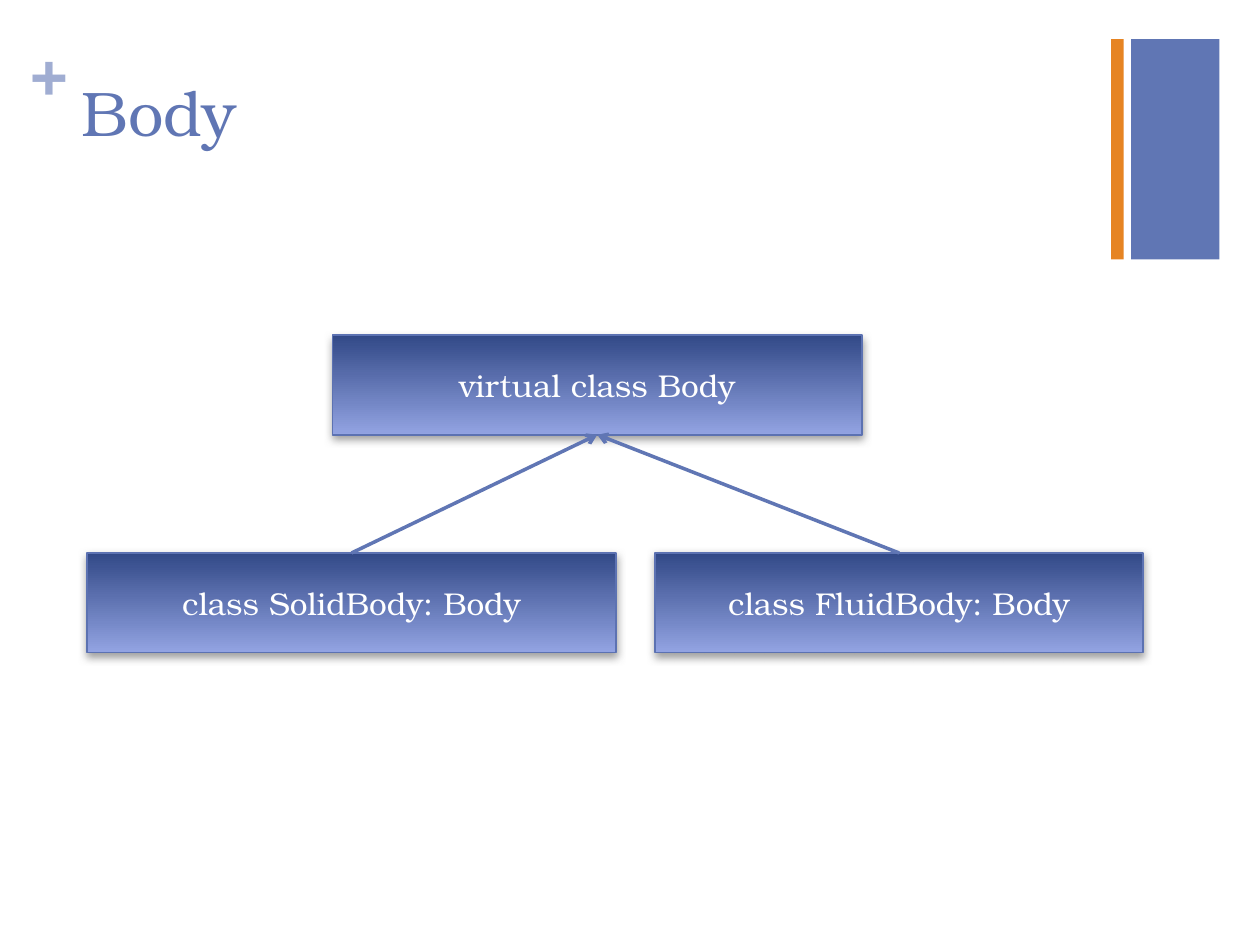
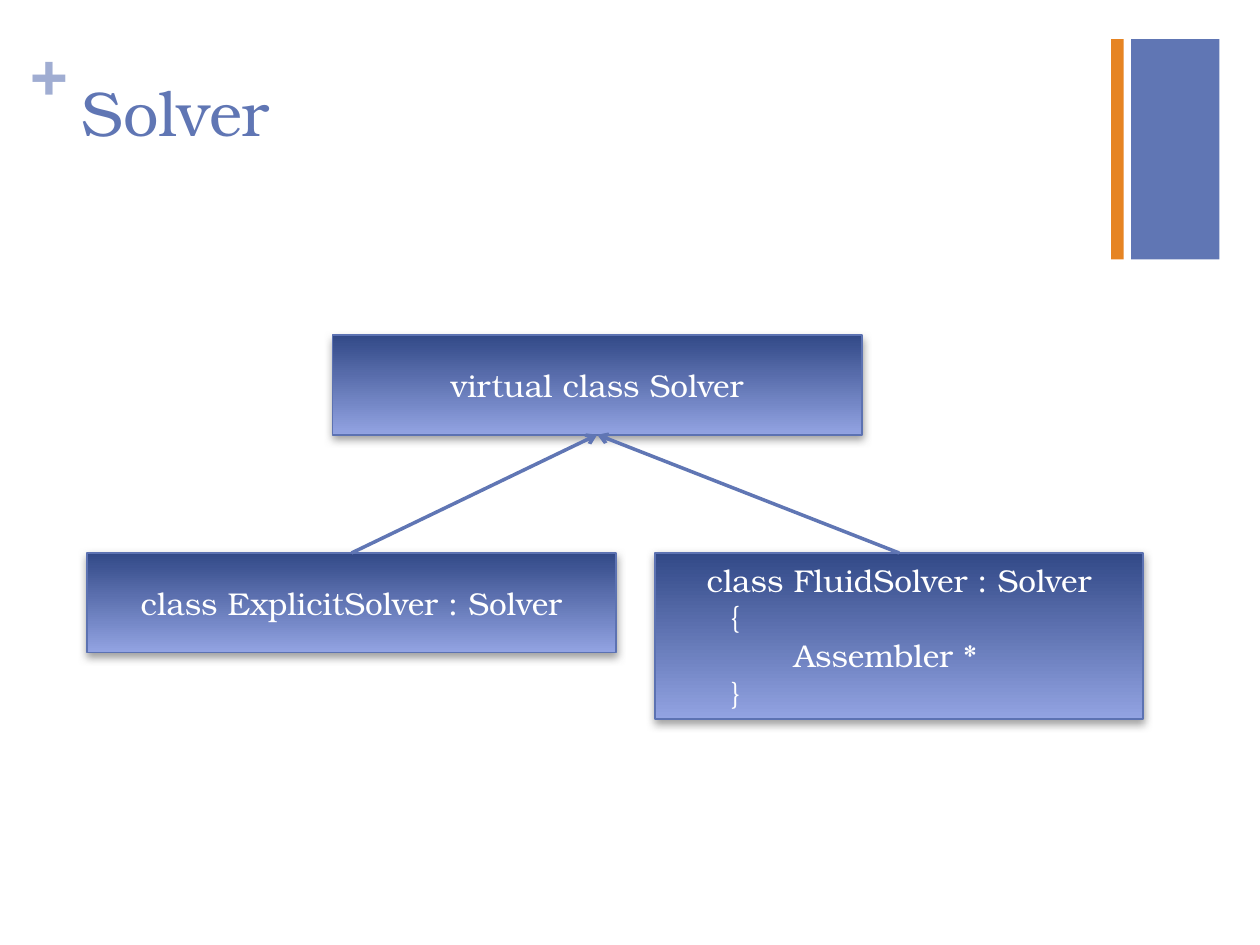
from lxml import etree
from pptx import Presentation
from pptx.dml.color import RGBColor
from pptx.enum import shapes, text
from pptx.oxml import ns
from pptx.util import Pt

FONT = "TeX Gyre Bonum"
BLUE = RGBColor(0x60, 0x76, 0xB4)
PALE_BLUE = RGBColor(0xA0, 0xAD, 0xD2)
ORANGE = RGBColor(0xE6, 0x84, 0x22)
BOX_TOP = RGBColor(0x32, 0x49, 0x87)
BOX_BOTTOM = RGBColor(0x92, 0xA3, 0xE2)
BOX_EDGE = RGBColor(0x5C, 0x72, 0xB2)
WHITE = RGBColor(0xFF, 0xFF, 0xFF)

HEADER = (17.3, 18, 679.5, 130.5)
DIAGRAM = (49.7, 191.5, 603.4)
ROW_STEP = 124.5
ROW_HEIGHT = 56.9
WIDE, NARROW = 302.4, 278.6
PARENT_OFFSET = 140.4
INDENT = 36


def add_element(parent, tag, **attributes):
    return etree.SubElement(parent, ns.qn(tag), attributes)


def style_text(frame, size, color, bold=False):
    for paragraph in frame.paragraphs:
        for run in paragraph.runs:
            run.font.name = FONT
            run.font.size = Pt(size)
            run.font.bold = bold
            run.font.color.rgb = color


def add_band(slide, left, top, width, height, color):
    band = slide.shapes.add_shape(shapes.MSO_SHAPE.RECTANGLE,
                                  Pt(left), Pt(top), Pt(width), Pt(height))
    band.shadow.inherit = False
    band.fill.solid()
    band.fill.fore_color.rgb = color
    band.line.fill.background()


def add_header(slide, heading, box):
    left, top, width, height = box
    right = left + width
    band_top, band_height = top + 4.3, height - 4.5
    add_band(slide, right - 50.4, band_top, 50.4, band_height, BLUE)
    add_band(slide, right - 61.8, band_top, 7.2, band_height, ORANGE)

    plus = slide.shapes.add_textbox(Pt(left), Pt(top), Pt(20.9), Pt(43.9)).text_frame
    plus.margin_left = plus.margin_right = plus.margin_top = plus.margin_bottom = 0
    plus.word_wrap = True
    plus.text = "+"
    style_text(plus, 36, PALE_BLUE, bold=True)

    title = slide.shapes.title
    title.left, title.top = Pt(left + 22.3), Pt(top + 20.2)
    title.width, title.height = Pt(594.7), Pt(87.8)
    title.text_frame.text = heading
    title.text_frame.vertical_anchor = text.MSO_ANCHOR.TOP
    title.text_frame.paragraphs[0].alignment = text.PP_ALIGN.LEFT
    style_text(title.text_frame, 36, BLUE)


def add_class_box(slide, left, top, width, height, declaration, body=()):
    box = slide.shapes.add_shape(shapes.MSO_SHAPE.RECTANGLE,
                                 Pt(left), Pt(top), Pt(width), Pt(height))
    box.fill.gradient()
    box.fill.gradient_angle = 270
    for stop, color in zip(box.fill.gradient_stops, (BOX_TOP, BOX_BOTTOM)):
        stop.color.rgb = color
    box.line.color.rgb = BOX_EDGE
    box.line.width = Pt(1)

    box.shadow.inherit = False
    effects = box.element.spPr.find(ns.qn("a:effectLst"))
    shadow = add_element(effects, "a:outerShdw", blurRad=str(Pt(5)), dist=str(Pt(2)),
                         dir="5400000", rotWithShape="0")
    shade = add_element(shadow, "a:srgbClr", val="808080")
    add_element(shade, "a:alpha", val="75000")

    frame = box.text_frame
    frame.word_wrap = True
    frame.vertical_anchor = text.MSO_ANCHOR.MIDDLE
    frame.text = declaration
    frame.paragraphs[0].alignment = text.PP_ALIGN.CENTER
    for level, code in body:
        line = frame.add_paragraph()
        line.text = code
        line.alignment = text.PP_ALIGN.LEFT
        properties = line._p.get_or_add_pPr()
        properties.set("marL", str(Pt(level * INDENT)))
        properties.set("indent", "0")
    style_text(frame, 18, WHITE)
    return box


def add_inheritance(slide, child, parent):
    arrow = slide.shapes.add_connector(shapes.MSO_CONNECTOR.STRAIGHT, 0, 0, 0, 0)
    arrow.begin_connect(child, 0)
    arrow.end_connect(parent, 2)
    arrow.line.color.rgb = BLUE
    arrow.line.width = Pt(2)
    add_element(arrow.line._get_or_add_ln(), "a:tailEnd", type="arrow")
    add_element(arrow._element.spPr, "a:effectLst")


def add_class_diagram(slide, box, base, solid, fluid, fluid_body=(), fluid_height=ROW_HEIGHT):
    left, top, width = box
    child_top = top + ROW_STEP
    parent = add_class_box(slide, left + PARENT_OFFSET, top, WIDE, ROW_HEIGHT, base)
    right_child = add_class_box(slide, left + width - NARROW, child_top, NARROW,
                                fluid_height, fluid, fluid_body)
    left_child = add_class_box(slide, left, child_top, WIDE, ROW_HEIGHT, solid)
    for child in (left_child, right_child):
        add_inheritance(slide, child, parent)


def add_class_slide(deck, heading, *classes, **options):
    slide = deck.slides.add_slide(deck.slide_layouts[5])
    add_header(slide, heading, HEADER)
    add_class_diagram(slide, DIAGRAM, *classes, **options)


deck = Presentation()
deck.slide_width, deck.slide_height = Pt(720), Pt(540)
add_class_slide(deck, "Body", "virtual class Body",
                "class SolidBody: Body", "class FluidBody: Body")
add_class_slide(deck, "Solver", "virtual class Solver",
                "class ExplicitSolver : Solver", "class FluidSolver : Solver",
                fluid_body=((1, "{"), (2, "Assembler *"), (1, "}")), fluid_height=95)
deck.save("out.pptx")
